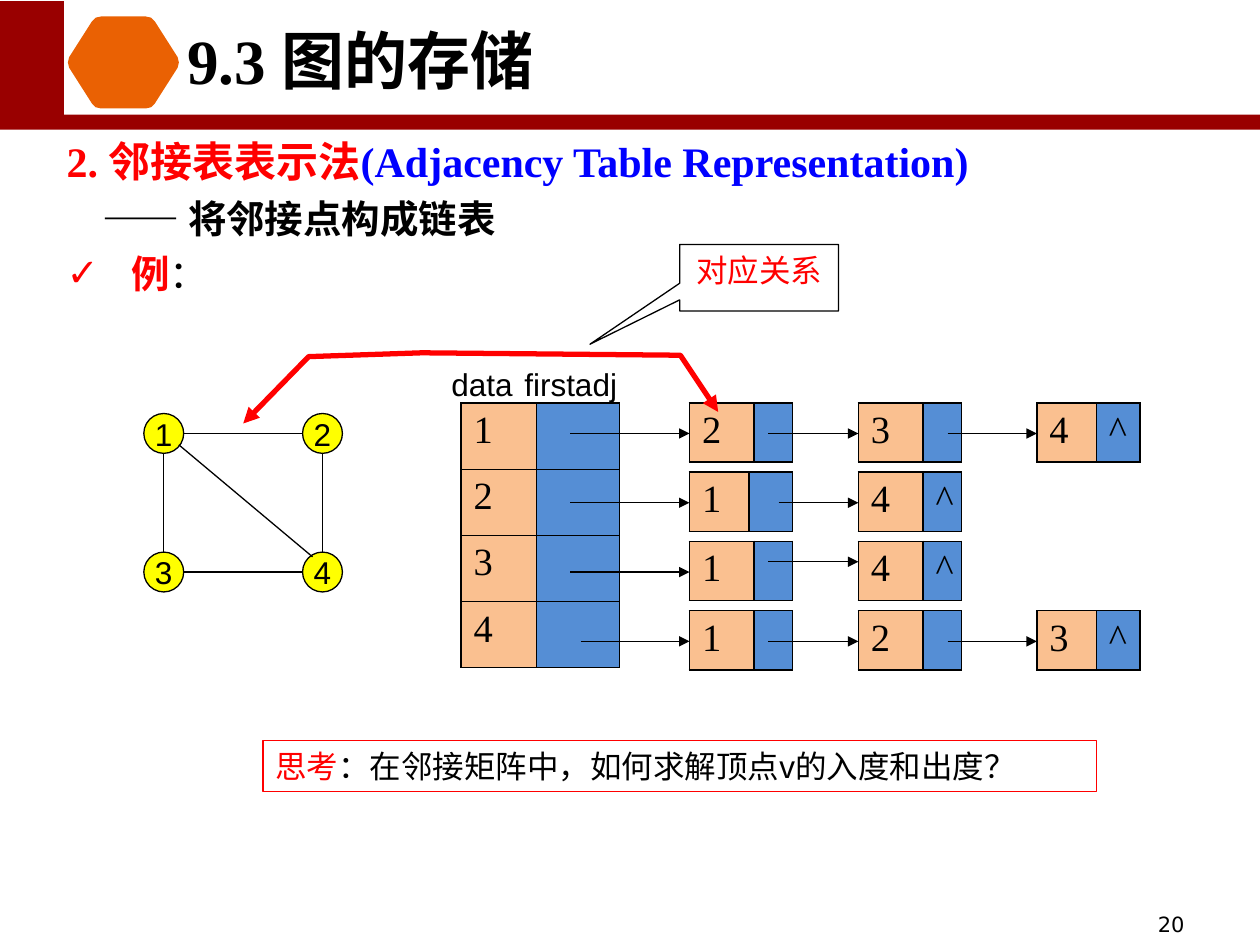
from lxml.etree import SubElement
from pptx import Presentation
from pptx.dml.color import RGBColor
from pptx.enum.shapes import MSO_CONNECTOR, MSO_SHAPE
from pptx.enum.text import MSO_ANCHOR, PP_ALIGN
from pptx.oxml.ns import qn
from pptx.util import Pt

COLORS = {
    "black": "000000", "white": "FFFFFF", "maroon": "990000", "orange": "EA6103",
    "red": "FF0000", "blue": "0000FF", "yellow": "FFFF00",
    "data": "FAC090", "link": "558ED5",
}
SERIF = {"name": "Times New Roman", "size": Pt(22)}
SANS = {"name": "Arial", "size": Pt(18)}
FRAME = {"word_wrap": True, "vertical_anchor": MSO_ANCHOR.TOP}
CENTERED = {"word_wrap": True, "vertical_anchor": MSO_ANCHOR.MIDDLE}
LABEL = {"word_wrap": False, "vertical_anchor": MSO_ANCHOR.MIDDLE,
         "margin_left": Pt(0), "margin_right": Pt(0)}


def write(frame, runs, layout, align=PP_ALIGN.LEFT, paragraph=None):
    for name, value in layout.items():
        setattr(frame, name, value)
    paragraph = paragraph or frame.paragraphs[0]
    paragraph.alignment = align
    for text, color, font in runs:
        run = paragraph.add_run()
        run.text = text
        run.font.color.rgb = RGBColor.from_string(COLORS[color])
        for name, value in font.items():
            setattr(run.font, name, value)


def paint(shape, fill=None, line=None, width=0.75):
    shape.shadow.inherit = False
    if fill:
        shape.fill.solid()
        shape.fill.fore_color.rgb = RGBColor.from_string(COLORS[fill])
    else:
        shape.fill.background()
    if line:
        shape.line.color.rgb = RGBColor.from_string(COLORS[line])
        shape.line.width = Pt(width)
    else:
        shape.line.fill.background()
    return shape


deck = Presentation()
deck.slide_width, deck.slide_height = Pt(720), Pt(540)
slide = deck.slides.add_slide(deck.slide_layouts[5])
shapes = slide.shapes

for color, box in [("maroon", (0, 0.7, 720, 73.4)), ("white", (36.7, 0, 683.3, 65.5))]:
    paint(shapes.add_shape(MSO_SHAPE.RECTANGLE, *map(Pt, box)), color)

quarter = [(12.6, 26.3), (15.8, 25.6), (18, 23.4), (31, 3), (31.7, 0)]
half = quarter + [(x, -y) for x, y in quarter[-2::-1]]
corners = half + [(-x, y) for x, y in half[::-1]]
badge_points = [(Pt(70.5 + x), Pt(35.7 + y)) for x, y in corners]
badge = shapes.build_freeform(*badge_points[0])
badge.add_line_segments(badge_points[1:])
paint(badge.convert_to_shape(), "orange")

title = shapes.title
title.left, title.top, title.width, title.height = map(Pt, (0, 8.6, 412, 51))
write(title.text_frame, [("9.3 图的存储", "black", {**SERIF, "size": Pt(36), "bold": True})],
      CENTERED, PP_ALIGN.CENTER)
title.element.getparent().append(title.element)

heading = {**SERIF, "size": Pt(24), "bold": True}
strong = {**SERIF, "bold": True}
outline = [
    (27, -27, None, [("2. 邻接表表示法", "red", heading),
                     ("(Adjacency Table Representation)", "blue", heading)]),
    (20.5, 0, None, [("—— 将邻接点构成链表", "black", strong)]),
    (37, -37, "✓", [("例", "red", strong), ("：", "black", SERIF)]),
]
body = shapes.add_textbox(*map(Pt, (31, 74, 613, 391))).text_frame
for index, (margin, indent, bullet, runs) in enumerate(outline):
    paragraph = body.add_paragraph() if index else body.paragraphs[0]
    write(body, runs, FRAME, paragraph=paragraph)
    paragraph.space_before = Pt(5)
    properties = paragraph._p.get_or_add_pPr()
    properties.set("marL", str(Pt(margin)))
    properties.set("indent", str(Pt(indent)))
    if bullet:
        bullet_color = SubElement(properties, qn("a:buClr"))
        SubElement(bullet_color, qn("a:srgbClr"), val=COLORS["red"])
        SubElement(properties, qn("a:buFont"), typeface="DejaVu Sans")
        SubElement(properties, qn("a:buChar"), char=bullet)

adjacency = {1: [2, 3, 4], 2: [1, 4], 3: [1, 4], 4: [1, 2, 3]}
first_y, row_gap = 247.7, 39.6
node_lefts = [394, 490.5, 592.5]
link_starts = [326, 439, 541.5]
shifted_starts = {(4, 0): 332, (2, 1): 445}
shifted_ys = {(3, 1): 321}

tables = [(263.5, 230.4, (43, 47.5), 37.8, [(str(v), "") for v in adjacency])]
links = []
for row, (vertex, neighbours) in enumerate(adjacency.items()):
    y = first_y + row * row_gap
    for column, neighbour in enumerate(neighbours):
        widths = (34, 25) if column == 2 or (vertex, column) == (2, 0) else (37, 22)
        mark = "^" if column == len(neighbours) - 1 else ""
        tables.append((node_lefts[column], y - 17.5, widths, 33.8, [(str(neighbour), mark)]))
        start = shifted_starts.get((vertex, column), link_starts[column])
        link_y = shifted_ys.get((vertex, column), y)
        links.append((start, link_y, node_lefts[column], link_y, True))

for left, top, widths, height, rows in tables:
    table = shapes.add_table(len(rows), 2, Pt(left), Pt(top), Pt(sum(widths)),
                             Pt(height * len(rows))).table
    for column, width in zip(table.columns, widths):
        column.width = Pt(width)
    for r, texts in enumerate(rows):
        table.rows[r].height = Pt(height)
        for c, (text, fill) in enumerate(zip(texts, ("data", "link"))):
            cell = table.cell(r, c)
            if text:
                write(cell.text_frame, [(text, "black", SERIF)], {})
            properties = cell._tc.get_or_add_tcPr()
            for side in ("a:lnL", "a:lnR", "a:lnT", "a:lnB"):
                border = SubElement(properties, qn(side), w=str(Pt(1)))
                border_fill = SubElement(border, qn("a:solidFill"))
                SubElement(border_fill, qn("a:srgbClr"), val=COLORS["black"])
            cell.fill.solid()
            cell.fill.fore_color.rgb = RGBColor.from_string(COLORS[fill])

vertex_size = 22.8
vertices = {"1": (93.6, 247.7), "2": (184.3, 247.7), "3": (93.6, 326.9), "4": (184.3, 326.9)}
for name, (x, y) in vertices.items():
    box = (x - vertex_size / 2, y - vertex_size / 2, vertex_size, vertex_size)
    vertex = paint(shapes.add_shape(MSO_SHAPE.OVAL, *map(Pt, box)), "yellow", "black")
    write(vertex.text_frame, [(name, "black", SANS)], LABEL, PP_ALIGN.CENTER)

edges = [
    (93.6, 259.1, 93.6, 315.5, False), (184.3, 315.5, 184.3, 259.1, False),
    (105, 326.9, 172.9, 326.9, False), (172.9, 247.7, 105, 247.7, False),
    (178.6, 318.2, 102.2, 254.2, False),
]
for *ends, arrow in edges + links:
    connector = shapes.add_connector(MSO_CONNECTOR.STRAIGHT, *map(Pt, ends))
    connector.line.color.rgb = RGBColor.from_string(COLORS["black"])
    connector.line.width = Pt(0.75)
    SubElement(connector._element.spPr, qn("a:effectLst"))
    if arrow:
        SubElement(connector.line._get_or_add_ln(), qn("a:tailEnd"), type="triangle")

for text, box in [("data", (252.7, 196.6, 45.4, 45.4)), ("firstadj", (292.3, 202.3, 67.7, 33.8))]:
    header = shapes.add_textbox(*map(Pt, box))
    write(header.text_frame, [(text, "black", SANS)], LABEL, PP_ALIGN.CENTER)

relation_points = [(139, 242), (176.4, 203.8), (241.2, 201.6), (388.8, 203), (410.4, 235.4)]
relation_builder = shapes.build_freeform(*map(Pt, relation_points[0]))
relation_builder.add_line_segments([(Pt(x), Pt(y)) for x, y in relation_points[1:]], close=False)
relation = paint(relation_builder.convert_to_shape(), None, "red", 3)
for end in ("a:headEnd", "a:tailEnd"):
    SubElement(relation.line._get_or_add_ln(), qn(end), type="triangle")

callout = paint(shapes.add_shape(MSO_SHAPE.RECTANGULAR_CALLOUT, *map(Pt, (388.4, 139.7, 90.7, 38))),
                None, "black")
callout.adjustments[0], callout.adjustments[1] = -1.065, 1
write(callout.text_frame, [("对应关系", "red", SANS)], FRAME, PP_ALIGN.CENTER)

question = paint(shapes.add_shape(MSO_SHAPE.RECTANGLE, *map(Pt, (150.3, 423.3, 476.2, 29))), None, "red")
write(question.text_frame, [("思考", "red", SANS),
                            ("：在邻接矩阵中，如何求解顶点v的入度和出度？", "black", SANS)], FRAME)

page_number = shapes.add_textbox(*map(Pt, (516.2, 519.1, 167.8, 18)))
write(page_number.text_frame, [("20", "black", {"name": "DejaVu Sans", "size": Pt(12)})],
      CENTERED, PP_ALIGN.RIGHT)

deck.save("out.pptx")
